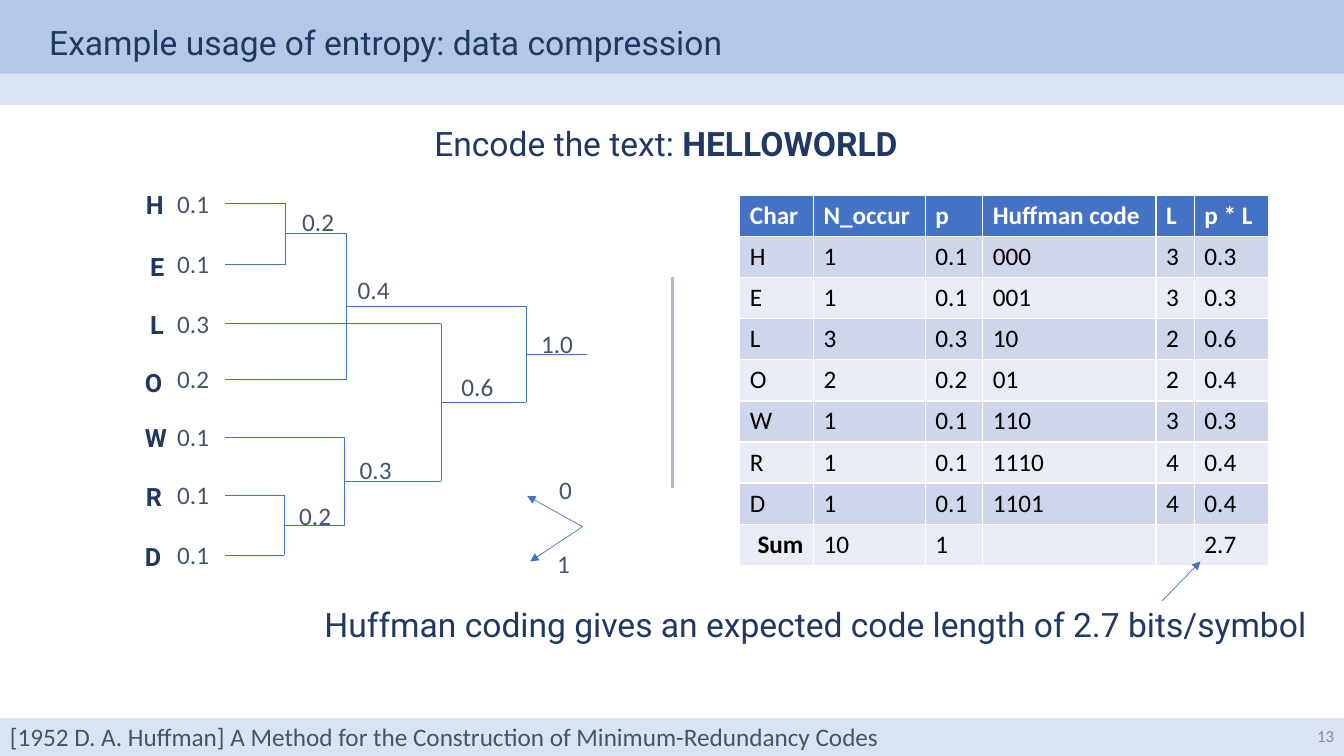
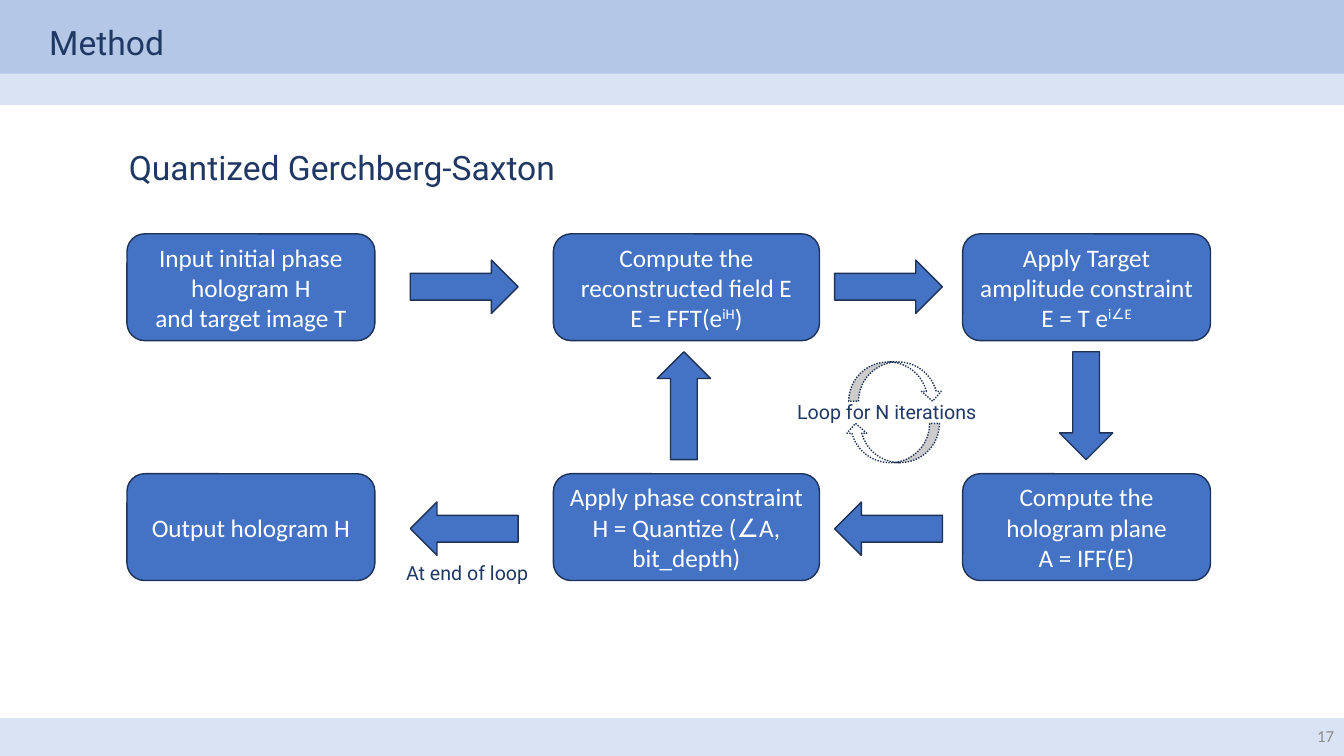
"""Build two slides: Huffman coding of a short text and a quantized Gerchberg-Saxton flowchart."""
from dataclasses import dataclass, field

from lxml.etree import SubElement
from pptx import Presentation
from pptx.dml.color import RGBColor
from pptx.enum.dml import MSO_LINE
from pptx.enum.shapes import MSO_CONNECTOR, MSO_SHAPE
from pptx.enum.text import MSO_ANCHOR, PP_ALIGN
from pptx.oxml.ns import qn
from pptx.util import Inches, Pt


@dataclass
class Theme:
    band: str = "B4C7E7"
    strip: str = "DAE3F3"
    navy: str = "203864"
    slate: str = "44546A"
    accent: str = "4472C4"
    outline: str = "1E3256"
    divider: str = "ADB9CA"
    white: str = "FFFFFF"
    stripes: tuple = ("E9EBF5", "CFD5EA")
    text: dict = field(default_factory=lambda: {
        "head": ({"name": "Roboto", "size": Pt(24)}, "203864"),
        "letter": ({"name": "Roboto", "size": Pt(18), "bold": True}, "203864"),
        "caption": ({"name": "Roboto", "size": Pt(14)}, "203864"),
        "body": ({"name": "Calibri", "size": Pt(18)}, "44546A"),
        "block": ({"name": "Calibri", "size": Pt(18)}, "FFFFFF"),
        "header": ({"name": "Calibri", "size": Pt(18), "bold": True}, "FFFFFF"),
        "cell": ({"name": "Calibri", "size": Pt(18)}, "000000"),
        "page": ({"name": "Calibri", "size": Pt(12)}, "8C8C8C"),
    })


T = Theme()
prs = Presentation()
prs.slide_width, prs.slide_height = Inches(40 / 3), Inches(7.5)
COL, ROW = prs.slide_width / 40, prs.slide_height / 30


def write(tf, paras, style, align=PP_ALIGN.LEFT, anchor=MSO_ANCHOR.TOP):
    """Write paragraphs, each a string or a list of (text, font values, baseline) runs."""
    tf.word_wrap = True
    tf.vertical_anchor = anchor
    values, color = T.text[style]
    for i, runs in enumerate(paras):
        p = tf.paragraphs[0] if i == 0 else tf.add_paragraph()
        p.alignment = align
        for text, extra, baseline in [(runs, {}, 0)] if isinstance(runs, str) else runs:
            r = p.add_run()
            r.text = text
            for key, value in {**values, **extra}.items():
                setattr(r.font, key, value)
            r.font.color.rgb = RGBColor.from_string(color)
            if baseline:
                r._r.get_or_add_rPr().set("baseline", str(baseline * 1000))


def add(s, x, y, w, h, kind=None, fill=None, line=None, rotation=0):
    """Add a text box or a preset shape, placed in grid columns and rows."""
    box = [int(v * u) for v, u in zip((x, y, w, h), (COL, ROW, COL, ROW))]
    if kind is None:
        return s.shapes.add_textbox(*box)
    sp = s.shapes.add_shape(kind, *box)
    sp.shadow.inherit = False
    sp.rotation = rotation
    sp.fill.solid()
    sp.fill.fore_color.rgb = RGBColor.from_string(fill)
    if line:
        sp.line.color.rgb = RGBColor.from_string(line)
        sp.line.width = Pt(1)
    else:
        sp.line.fill.background()
    return sp


slides = []
for title, page in (("Example usage of entropy: data compression", "13"), ("Method", "17")):
    s = prs.slides.add_slide(prs.slide_layouts[6])
    for y, h, fill in ((0, 3.8, T.band), (28.5, 1.5, T.strip), (2.92, 1.24, T.strip)):
        add(s, 0, y, 40, h, MSO_SHAPE.RECTANGLE, fill)
    write(add(s, 1.17, 0.68, 36, 2).text_frame, [title], "head")
    write(add(s, 31, 28.4, 9, 1.6).text_frame, [page], "page", PP_ALIGN.RIGHT, MSO_ANCHOR.MIDDLE)
    slides.append(s)

s = slides[0]
for x, y, w, style, runs in (
    (0, 28.44, 30, "body",
     "[1952 D. A. Huffman] A Method for the Construction of Minimum-Redundancy Codes"),
    (12.63, 4.68, 16, "head", [("Encode the text: ", {}, 0), ("HELLOWORLD", {"bold": True}, 0)]),
    (9.36, 23.76, 30.03, "head", "Huffman coding gives an expected code length of 2.7 bits/symbol"),
    (16.35, 18.64, 1.71, "body", "0"),
    (16.29, 21.56, 1.71, "body", "1"),
):
    write(add(s, x, y, w, 2).text_frame, [runs], style)

rows = [
    ("Char", "N_occur", "p", "Huffman code", "L", "p * L"),
    ("H", "1", "0.1", "000", "3", "0.3"),
    ("E", "1", "0.1", "001", "3", "0.3"),
    ("L", "3", "0.3", "10", "2", "0.6"),
    ("O", "2", "0.2", "01", "2", "0.4"),
    ("W", "1", "0.1", "110", "3", "0.3"),
    ("R", "1", "0.1", "1110", "4", "0.4"),
    ("D", "1", "0.1", "1101", "4", "0.4"),
    ("Sum", "10", "1", "", "", "2.7"),
]
widths = (2.19, 3.33, 1.71, 5.16, 1.14, 2.22)
table = s.shapes.add_table(len(rows), len(widths), int(22.02 * COL), int(7.76 * ROW),
                           int(sum(widths) * COL), int(1.63 * len(rows) * ROW)).table
for column, width in zip(table.columns, widths):
    column.width = int(width * COL)
for i, row in enumerate(rows):
    for j, text in enumerate(row):
        cell = table.cell(i, j)
        cell.fill.solid()
        cell.fill.fore_color.rgb = RGBColor.from_string(T.stripes[i % 2] if i else T.accent)
        if text == "Sum":
            write(cell.text_frame, [[(text, {"bold": True}, 0)]], "cell", PP_ALIGN.RIGHT)
        elif text:
            write(cell.text_frame, [text], "cell" if i else "header")

nodes = {}
for char, prob, x, y, branch in (
    ("H", "0.1", 4.05, 7.32, 8.08),
    ("E", "0.1", 4.17, 9.76, 10.48),
    ("L", "0.3", 4.17, 12.08, 12.84),
    ("O", "0.2", 4.02, 14.36, 15.04),
    ("W", "0.1", 4.02, 16.56, 17.36),
    ("R", "0.1", 4.05, 18.92, 19.64),
    ("D", "0.1", 4.02, 21.28, 22.04),
):
    write(add(s, x, y, 1.5, 1.6).text_frame, [char], "letter")
    write(add(s, 4.98, branch - 0.82, 1.71, 1.6).text_frame, [prob], "body")
    nodes[char] = (6.69, branch)

lines = [
    (20.01, 19.36, 20.01, 11, T.divider, 2.25, False),
    (34.59, 23.84, 35.73, 22.28, T.accent, 0.5, True),
    (17.34, 20.9, 15.69, 19.68, T.accent, 0.5, True),
    (17.34, 20.9, 15.78, 22.28, T.accent, 0.5, True),
]
for upper, lower, x, prob, label_x, label_y in (
    ("H", "E", 8.5, "0.2", 8.7, 8),
    ("R", "D", 8.46, "0.2", 8.61, 19.64),
    ("HE", "O", 10.32, "0.4", 10.35, 10.68),
    ("W", "RD", 10.26, "0.3", 10.41, 17.84),
    ("L", "WRD", 13.14, "0.6", 13.44, 14.52),
    ("HEO", "LWRD", 15.66, "1.0", 15.81, 12.84),
):
    (x1, y1), (x2, y2) = nodes[upper], nodes[lower]
    for ends in ((x1, y1, x, y1), (x2, y2, x, y2), (x, y1, x, y2)):
        lines.append((*ends, T.accent, 0.5, False))
    nodes[upper + lower] = root = (x, (y1 + y2) / 2)
    write(add(s, label_x, label_y, 1.71, 1.6).text_frame, [prob], "body")
lines.append((*root, root[0] + 1.8, root[1], T.accent, 0.5, False))

for x1, y1, x2, y2, color, width, arrow in lines:
    cn = s.shapes.add_connector(MSO_CONNECTOR.STRAIGHT, int(x1 * COL), int(y1 * ROW),
                                int(x2 * COL), int(y2 * ROW))
    cn.line.color.rgb = RGBColor.from_string(color)
    cn.line.width = Pt(width)
    if arrow:
        SubElement(cn.line._get_or_add_ln(), qn("a:tailEnd"), type="triangle")
    SubElement(cn._element.spPr, qn("a:effectLst"))

s = slides[1]
write(add(s, 3.54, 5.64, 35.85, 2).text_frame, ["Quantized Gerchberg-Saxton"], "head")
block_cols = ((3.78, 7.38), (16.47, 7.92), (28.65, 7.38))
block_rows = (9.28, 18.8)
for c, r, paras in (
    (0, 0, ["Input initial phase hologram H", "and target image T"]),
    (1, 0, ["Compute the reconstructed field E",
            [("E = FFT(e", {}, 0), ("iH", {}, 30), (")", {}, 0)]]),
    (2, 0, ["Apply Target amplitude constraint", [("E = T e", {}, 0), ("i∠E", {}, 30)]]),
    (2, 1, ["Compute the hologram plane", "A = IFF(E)"]),
    (1, 1, ["Apply phase constraint", "H = Quantize (∠A, bit_depth)"]),
    (0, 1, ["Output hologram H"]),
):
    x, w = block_cols[c]
    sp = add(s, x, block_rows[r], w, 4.24, MSO_SHAPE.ROUNDED_RECTANGLE, T.accent, T.outline)
    write(sp.text_frame, paras, "block", PP_ALIGN.CENTER, MSO_ANCHOR.MIDDLE)

for x, y, rotation in ((12.21, 10.32, 0), (24.84, 10.32, 0), (30.72, 15.04, 90),
                       (18.75, 15.04, 270), (24.84, 19.92, 180), (12.21, 19.92, 180)):
    add(s, x, y, 3.21, 2.12, MSO_SHAPE.RIGHT_ARROW, T.accent, T.outline, rotation)

for x, y, w, text in ((11.79, 22.08, 4.32, "At end of loop"),
                      (23.43, 15.68, 6.06, "Loop for N iterations")):
    write(add(s, x, y, w, 1.36).text_frame, [text], "caption")

for x, y, rotation in ((25.26, 14.36, 0), (25.17, 16.8, 180)):
    sp = add(s, x, y, 2.79, 1.56, MSO_SHAPE.CURVED_DOWN_ARROW, T.white, T.outline, rotation)
    sp.line.dash_style = MSO_LINE.ROUND_DOT

prs.save("out.pptx")
